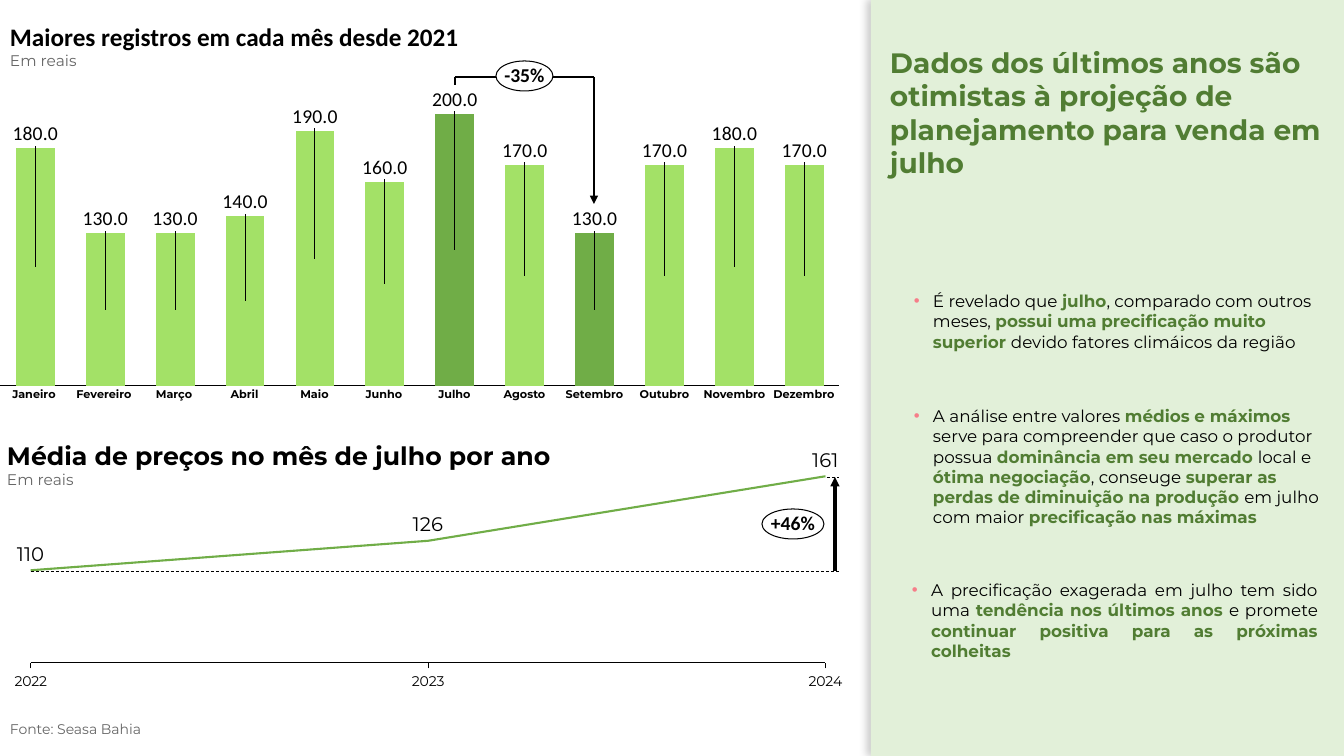
from lxml.etree import SubElement
from pptx import Presentation
from pptx.chart.data import CategoryChartData, XyChartData
from pptx.dml.color import RGBColor
from pptx.enum.chart import XL_CHART_TYPE as Chart
from pptx.enum.chart import XL_LABEL_POSITION as LabelAt
from pptx.enum.chart import XL_TICK_LABEL_POSITION as TickLabel
from pptx.enum.chart import XL_TICK_MARK as Tick
from pptx.enum.dml import MSO_LINE
from pptx.enum.shapes import MSO_CONNECTOR, MSO_SHAPE
from pptx.enum.text import MSO_ANCHOR, MSO_AUTO_SIZE, PP_ALIGN
from pptx.oxml import parse_xml
from pptx.oxml.ns import nsdecls, qn
from pptx.util import Pt

SCALE = 914400 / 100.8
COLORS = {"black": "000000", "white": "FFFFFF", "gray": "666666", "lime": "A3E167",
          "green": "70AD47", "forest": "517D33", "mint": "E2F0D9", "pink": "F67E89"}
SANS, DISPLAY = "Calibri", "Montserrat"
MONTH_WIDTHS = {"Janeiro": 44, "Fevereiro": 56, "Março": 38, "Abril": 29, "Maio": 29,
                "Junho": 38, "Julho": 33, "Agosto": 43, "Setembro": 59, "Outubro": 51,
                "Novembro": 63, "Dezembro": 62}
RECORDS = [180, 130, 130, 140, 190, 160, 200, 170, 130, 170, 180, 170]
AVERAGES = {2022: 110, 2023: 126, 2024: 161}
FINDINGS = [
    ((904, 401, 426, 132), PP_ALIGN.LEFT, [
        "A análise entre valores ", "médios e máximos ",
        "serve para compreender que caso o produtor possua ",
        "dominância em seu mercado ", "local e ", "ótima negociação", ", conseuge ",
        "superar as perdas de diminuição na produção ", "em julho com maior ",
        "precificação nas máximas"]),
    ((904, 286, 426, 72), PP_ALIGN.LEFT, [
        "É revelado que ", "julho", ", comparado com outros meses, ",
        "possui uma precificação muito superior ", "devido fatores climáicos da região"]),
    ((902, 575, 426, 92), PP_ALIGN.JUSTIFY, [
        "A precificação exagerada em julho tem sido uma ", "tendência nos últimos anos ",
        "e promete ", "continuar positiva para as próximas colheitas"]),
]


def px(value):
    return round(value * SCALE)


def rgb(name):
    return RGBColor.from_string(COLORS[name])


def style(font, face, size, color="black", bold=False):
    font.name, font.size, font.bold = face, Pt(size), bold
    font.color.rgb = rgb(color)


class SlideBuilder:
    def __init__(self, slide):
        self.slide = slide
        self.shapes = slide.shapes

    def add_span(self, para, text, *look):
        span = para.add_run()
        span.text = text
        style(span.font, *look)

    def textbox(self, area, paragraphs, align=PP_ALIGN.LEFT, inset=(10, 5), wrap=True):
        box = self.shapes.add_textbox(*map(px, area))
        self.fill_frame(box.text_frame, paragraphs, align, inset, wrap)
        if wrap:
            box.text_frame.auto_size = MSO_AUTO_SIZE.SHAPE_TO_FIT_TEXT
        return box

    def fill_frame(self, frame, paragraphs, align, inset, wrap):
        frame.word_wrap = wrap
        frame.margin_left = frame.margin_right = px(inset[0])
        frame.margin_top = frame.margin_bottom = px(inset[1])
        for index, spans in enumerate(paragraphs):
            para = frame.add_paragraph() if index else frame.paragraphs[0]
            para.alignment = align
            if not wrap:
                para.line_spacing = 0.9
            for span in spans:
                self.add_span(para, *span)

    def heading(self, area, title, face):
        self.textbox(area, [[(title, face, 18, "black", True)],
                            [("Em reais", DISPLAY, 11, "gray")]], PP_ALIGN.JUSTIFY, (10, 10))

    def bullet(self, area, align, parts):
        spans = [(text, DISPLAY, 12, "forest" if i % 2 else "black", bool(i % 2))
                 for i, text in enumerate(parts)]
        box = self.textbox(area, [spans], align)
        props = box.text_frame.paragraphs[0]._p.get_or_add_pPr()
        props.set("marL", str(px(19)))
        props.set("indent", str(-px(19)))
        color = SubElement(props, qn("a:buClr"))
        SubElement(color, qn("a:srgbClr"), val=COLORS["pink"])
        SubElement(props, qn("a:buFont"), typeface="Arial")
        SubElement(props, qn("a:buChar"), char="•")

    def line(self, start, end, width, dashed=False, arrow=False):
        link = self.shapes.add_connector(MSO_CONNECTOR.STRAIGHT, *map(px, start + end))
        link.line.color.rgb = rgb("black")
        link.line.width = Pt(width)
        if dashed:
            link.line.dash_style = MSO_LINE.DASH
        props = link._element.spPr
        if arrow:
            SubElement(props.find(qn("a:ln")), qn("a:tailEnd"), type="triangle")
        SubElement(props, qn("a:effectLst"))

    def badge(self, area, text):
        oval = self.shapes.add_shape(MSO_SHAPE.OVAL, *map(px, area))
        oval.shadow.inherit = False
        oval.fill.solid()
        oval.fill.fore_color.rgb = rgb("white")
        oval.line.color.rgb = rgb("black")
        oval.line.width = Pt(0.75)
        oval.text_frame.vertical_anchor = MSO_ANCHOR.MIDDLE
        self.fill_frame(oval.text_frame, [[(text, SANS, 14, "black", True)]],
                        PP_ALIGN.CENTER, (0, 0), False)

    def panel(self, area):
        panel = self.shapes.add_shape(MSO_SHAPE.RECTANGLE, *map(px, area))
        panel.shadow.inherit = False
        panel.fill.solid()
        panel.fill.fore_color.rgb = rgb("mint")
        panel.line.fill.background()
        shadow = SubElement(panel._element.spPr.find(qn("a:effectLst")), qn("a:outerShdw"),
                            blurRad="76200", dist="38100", dir="10800000",
                            algn="r", rotWithShape="0")
        color = SubElement(shadow, qn("a:srgbClr"), val=COLORS["black"])
        SubElement(color, qn("a:alpha"), val="20000")

    def chart(self, kind, area, data, plot_area, limits):
        chart = self.shapes.add_chart(kind, *map(px, area), data).chart
        chart.has_legend = chart.has_title = False
        style(chart.font, SANS, 10)
        values, base = chart.value_axis, chart.category_axis
        values.visible = values.has_major_gridlines = base.has_major_gridlines = False
        values.minimum_scale, values.maximum_scale = limits
        base.format.line.color.rgb = rgb("black")
        base.format.line.width = Pt(0.75)
        plot = chart.plots[0]
        plot.vary_by_categories = False
        frame = plot._element.getparent()
        for old in frame.findall(qn("c:layout")):
            frame.remove(old)
        sizes = "".join(f'<c:{key} val="{value}"/>' for key, value in zip("xywh", plot_area))
        frame.insert(0, parse_xml(
            f'<c:layout {nsdecls("c")}><c:manualLayout><c:layoutTarget val="inner"/>'
            f'<c:xMode val="edge"/><c:yMode val="edge"/>{sizes}</c:manualLayout></c:layout>'))
        return chart

    def record_bars(self):
        data = CategoryChartData(number_format="0.0")
        data.categories = [str(n + 1) for n in range(len(RECORDS))]
        data.add_series("Series 1", RECORDS)
        chart = self.chart(Chart.COLUMN_STACKED, (-9, 66, 857, 354), data,
                           (0.011, 0.135, 0.979, 0.769), (40, 200))
        chart.category_axis.tick_label_position = TickLabel.NONE
        chart.category_axis.major_tick_mark = Tick.NONE
        plot = chart.plots[0]
        plot.gap_width, plot.overlap = 80, 100
        series = plot.series[0]
        series.format.fill.solid()
        series.format.fill.fore_color.rgb = rgb("lime")
        labels = series.data_labels
        labels.show_value = True
        labels.number_format, labels.number_format_is_linked = "0.0", False
        style(labels.font, SANS, 14)
        for index in range(len(RECORDS)):
            label = series.points[index].data_label
            style(label.font, SANS, 14)
            label.position = LabelAt.CENTER
        for index in (6, 8):
            fill = series.points[index].format.fill
            fill.solid()
            fill.fore_color.rgb = rgb("green")
        group = labels._element
        for value, label in zip(RECORDS, group.findall(qn("c:dLbl"))):
            rise = round(((value - 40) * 1.7 / 2 + 14) / 354, 4)
            label.insert(1, parse_xml(
                f'<c:layout {nsdecls("c")}><c:manualLayout><c:x val="0"/>'
                f'<c:y val="{-rise}"/></c:manualLayout></c:layout>'))
        group.append(parse_xml(
            f'<c:extLst {nsdecls("c")}><c:ext uri="{{CE6537A1-D6FC-4f65-9D91-7224C49458BB}}" '
            'xmlns:c15="http://schemas.microsoft.com/office/drawing/2012/chart">'
            '<c15:showLeaderLines val="1"/></c:ext></c:extLst>'))

    def average_line(self):
        data = XyChartData()
        points = data.add_series("Series 1")
        for year, price in AVERAGES.items():
            points.add_data_point(year, price)
        chart = self.chart(Chart.XY_SCATTER_LINES_NO_MARKERS, (-3, 425, 864, 279), data,
                           (0.039, 0.184, 0.92, 0.668), (60, 161))
        years = chart.category_axis
        years.minimum_scale, years.maximum_scale, years.major_unit = 2022, 2024, 1
        years.major_tick_mark = Tick.OUTSIDE
        years.tick_labels.number_format = "0"
        years.tick_labels.number_format_is_linked = False
        style(years.tick_labels.font, DISPLAY, 10)
        series = chart.plots[0].series[0]
        series.format.line.color.rgb = rgb("green")
        series.format.line.width = Pt(1.5)
        for index in range(len(AVERAGES)):
            label = series.points[index].data_label
            style(label.font, DISPLAY, 14)
            label.position = LabelAt.ABOVE


def main():
    deck = Presentation()
    deck.slide_width, deck.slide_height = px(1344), px(756)
    page = SlideBuilder(deck.slides.add_slide(deck.slide_layouts[6]))

    page.record_bars()
    page.line((455, 85), (455, 77), 1)
    page.line((455, 77), (594, 77), 1)
    page.line((594, 77), (594, 204), 1, arrow=True)
    for index, (month, width) in enumerate(MONTH_WIDTHS.items()):
        center = (2 * index + 1) * 839 // 24
        page.textbox((center - width // 2, 389, width, 12),
                     [[(month, DISPLAY, 8, "black", True)]], PP_ALIGN.CENTER, (0, 0), False)
    page.badge((496, 61, 57, 30), "-35%")
    page.heading((0, 11, 609, 70), "Maiores registros em cada mês desde 2021", SANS)
    page.textbox((0, 712, 260, 37), [[("Fonte: Seasa Bahia", DISPLAY, 10, "gray")]],
                 PP_ALIGN.JUSTIFY, (10, 10))

    page.panel((871, 0, 473, 756))
    page.textbox((880, 40, 457, 146), [[(
        "Dados dos últimos anos são otimistas à projeção de planejamento para venda em julho",
        DISPLAY, 20, "forest", True)]])
    for finding in FINDINGS:
        page.bullet(*finding)

    page.average_line()
    page.line((31, 571), (839, 571), 0.5, dashed=True)
    page.line((827, 477), (839, 477), 0.5, dashed=True)
    page.line((835, 571), (835, 477), 2.25, arrow=True)
    page.badge((762, 509, 62, 30), "+46%")
    page.heading((-3, 430, 677, 70), "Média de preços no mês de julho por ano", DISPLAY)
    deck.save("out.pptx")


if __name__ == "__main__":
    main()
